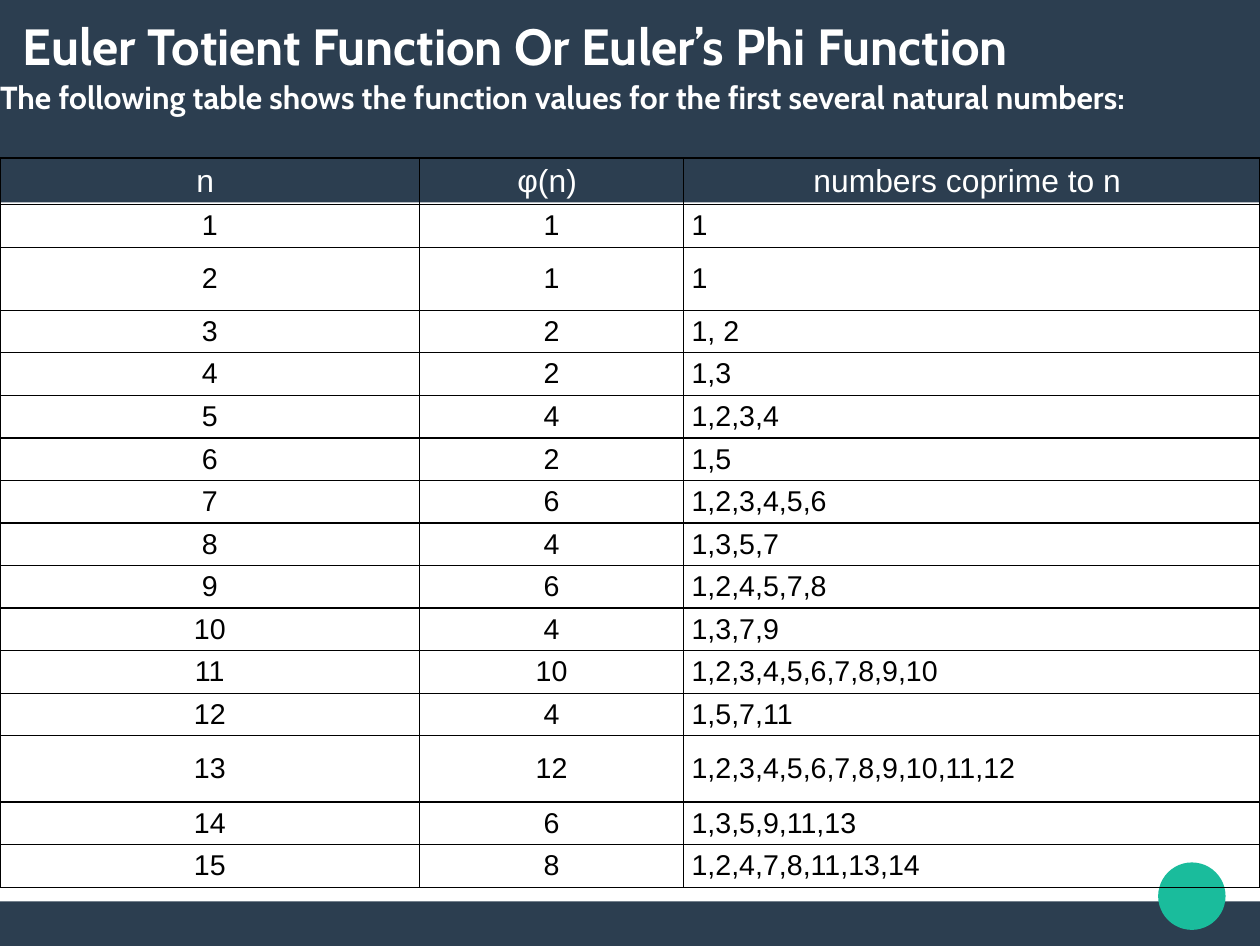
from dataclasses import dataclass

from lxml.etree import SubElement
from pptx import Presentation
from pptx.dml.color import RGBColor
from pptx.enum.shapes import MSO_SHAPE
from pptx.enum.text import MSO_ANCHOR, PP_ALIGN
from pptx.oxml.ns import qn
from pptx.util import Inches, Pt


@dataclass(frozen=True)
class Theme:
    band: str = "2C3E50"
    accent: str = "1ABC9C"
    light: str = "FFFFFF"
    dark: str = "000000"
    display_font: str = "Cabin"
    table_font: str = "Arial"
    title_size: int = 32
    heading_size: int = 20
    value_size: int = 18
    border_width: int = 1


COPRIMES = [
    "1", "1", "1, 2", "1,3", "1,2,3,4", "1,5", "1,2,3,4,5,6", "1,3,5,7",
    "1,2,4,5,7,8", "1,3,7,9", "1,2,3,4,5,6,7,8,9,10", "1,5,7,11",
    "1,2,3,4,5,6,7,8,9,10,11,12", "1,3,5,9,11,13", "1,2,4,7,8,11,13,14",
]
HEADINGS = ["n ", "φ(n) ", "numbers coprime to n "]
COLUMN_SHARES = [33.3, 20.96, 45.74]
ROW_SHARE = 4.5
SPECIAL_ROW_SHARES = {0: 4.96, 2: 6.65, 13: 7.01}


def write(frame, text, *, font, size, color, bold=False,
          align=PP_ALIGN.LEFT, line_spacing=None, space_after=None, hanging=None):
    paragraph = frame.paragraphs[0]
    paragraph.alignment = align
    if line_spacing:
        paragraph.line_spacing = line_spacing
    if space_after:
        paragraph.space_after = Pt(space_after)
    if hanging:
        properties = paragraph._p.get_or_add_pPr()
        properties.set("marL", str(Inches(hanging)))
        properties.set("indent", str(-Inches(hanging)))
    run = paragraph.add_run()
    run.text = text
    run.font.name = font
    run.font.size = Pt(size)
    run.font.bold = bold
    run.font.color.rgb = RGBColor.from_string(color)


class SlideBuilder:
    def __init__(self, deck, theme):
        self.theme = theme
        self.width, self.height = deck.slide_width, deck.slide_height
        self.slide = deck.slides.add_slide(deck.slide_layouts[6])
        self.slide.background.fill.solid()
        self.slide.background.fill.fore_color.rgb = RGBColor.from_string(theme.light)

    def across(self, share):
        return round(self.width * share / 100)

    def down(self, share):
        return round(self.height * share / 100)

    def box(self, left, top, width, height):
        """Turn percentages of the slide into a position and size."""
        return self.across(left), self.down(top), self.across(width), self.down(height)

    def shape(self, kind, color, *area):
        shape = self.slide.shapes.add_shape(kind, *self.box(*area))
        shape.shadow.inherit = False
        shape.fill.solid()
        shape.fill.fore_color.rgb = RGBColor.from_string(color)
        shape.line.fill.background()

    def heading(self, text, *area, size, anchor=MSO_ANCHOR.TOP, **text_format):
        frame = self.slide.shapes.add_textbox(*self.box(*area)).text_frame
        frame.word_wrap = True
        frame.vertical_anchor = anchor
        frame.margin_left = frame.margin_right = 0
        frame.margin_top = frame.margin_bottom = 0
        write(frame, text, font=self.theme.display_font, size=size, bold=True,
              color=self.theme.light, line_spacing=1.04, **text_format)

    def border(self, cell):
        properties = cell._tc.get_or_add_tcPr()
        for position, side in enumerate(("lnL", "lnR", "lnT", "lnB")):
            line = properties.makeelement(qn(f"a:{side}"),
                                          {"w": str(Pt(self.theme.border_width))})
            fill = SubElement(line, qn("a:solidFill"))
            SubElement(fill, qn("a:srgbClr"), val=self.theme.dark)
            properties.insert(position, line)

    def table(self, rows, column_shares, row_shares, left, top):
        area = self.box(left, top, sum(column_shares), sum(row_shares))
        table = self.slide.shapes.add_table(len(rows), len(column_shares), *area).table
        table.first_row = table.horz_banding = False
        for column, share in zip(table.columns, column_shares):
            column.width = self.across(share)
        for row, share in zip(table.rows, row_shares):
            row.height = self.down(share)
        for r, values in enumerate(rows):
            for c, value in enumerate(values):
                self.cell(table.cell(r, c), value, header=r == 0,
                          centered=r == 0 or c < 2)

    def cell(self, cell, value, header, centered):
        theme = self.theme
        cell.fill.background()
        cell.vertical_anchor = MSO_ANCHOR.MIDDLE
        cell.margin_left = cell.margin_right = Inches(0.07)
        cell.margin_top = cell.margin_bottom = Inches(0.03)
        self.border(cell)
        write(cell.text_frame, value, font=theme.table_font,
              size=theme.heading_size if header else theme.value_size,
              color=theme.light if header else theme.dark,
              align=PP_ALIGN.CENTER if centered else PP_ALIGN.LEFT)


def main():
    deck = Presentation()
    deck.slide_width, deck.slide_height = Inches(11.02), Inches(8.27)
    theme = Theme()
    page = SlideBuilder(deck, theme)

    page.shape(MSO_SHAPE.RECTANGLE, theme.band, 0, 95.28, 100, 4.72)
    page.shape(MSO_SHAPE.RECTANGLE, theme.band, 0, 0, 100, 21.4)
    page.shape(MSO_SHAPE.OVAL, theme.accent, 91.92, 91.17, 5.35, 7.13)

    page.heading(
        "The following table shows the function values for the first several natural numbers:",
        0, 8.1, 100, 17.78, size=theme.heading_size, space_after=14.1, hanging=0.38)

    rows = [HEADINGS]
    for n, coprimes in enumerate(COPRIMES, start=1):
        totient = len(coprimes.split(","))
        rows.append([str(n), str(totient), coprimes])
    row_shares = [SPECIAL_ROW_SHARES.get(r, ROW_SHARE) for r in range(len(rows))]
    page.table(rows, COLUMN_SHARES, row_shares, 0, 16.69)

    page.heading("Euler Totient Function Or Euler’s Phi Function",
                 1.81, -1.69, 94.65, 12.7, size=theme.title_size,
                 anchor=MSO_ANCHOR.MIDDLE)
    deck.save("out.pptx")


if __name__ == "__main__":
    main()
